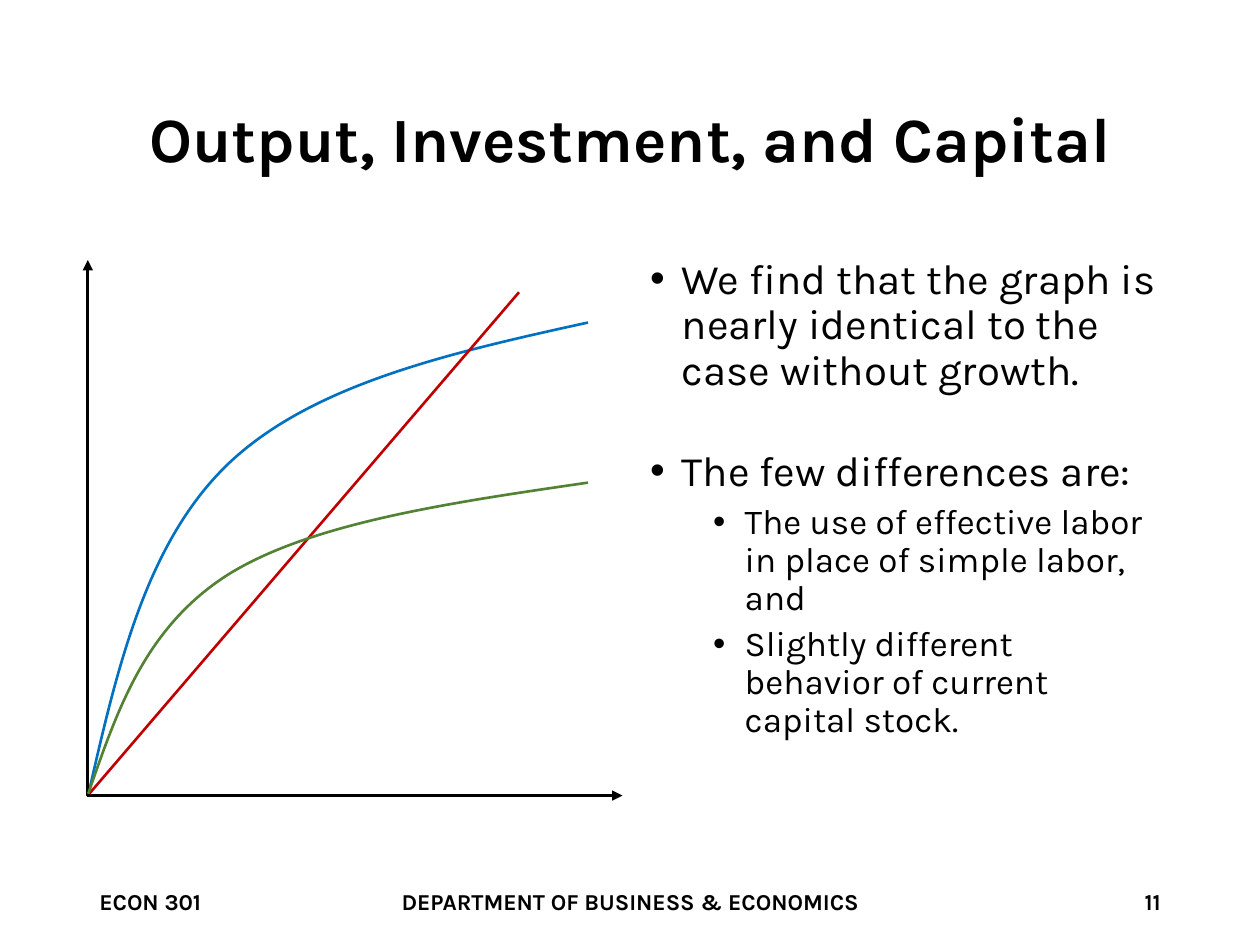
from lxml.etree import SubElement
from pptx import Presentation
from pptx.dml.color import RGBColor
from pptx.enum.shapes import MSO_CONNECTOR as Connector
from pptx.enum.text import MSO_ANCHOR as Anchor, PP_ALIGN as Align
from pptx.oxml.ns import qn
from pptx.util import Pt

BLACK = RGBColor(0x00, 0x00, 0x00)
BLUE = RGBColor(0x00, 0x70, 0xC0)
RED = RGBColor(0xC0, 0x00, 0x00)
GREEN = RGBColor(0x54, 0x82, 0x35)
FONT = "Karla"

OUTPUT = [(50.4, 454.3), (67, 381.6), (83.5, 309.6), (131, 264.5),
          (178.6, 219.6), (257, 201.6), (336, 184.3)]
INVESTMENT = [(50.4, 453.6), (67, 406), (82.8, 358.6), (130.3, 328.4),
              (177.8, 298.8), (257, 287.3), (336, 275.8)]
POINTS = [
    ("We find that the graph is nearly identical to the case without growth.", 0, 0),
    ("The few differences are:", 0, 32),
    ("The use of effective labor in place of simple labor, and", 1, 5),
    ("Slightly different behavior of current capital stock.", 1, 5),
]


def add_frame(slide, left, top, width, height, anchor):
    """Add a wrapping text box and return its text frame."""
    frame = slide.shapes.add_textbox(Pt(left), Pt(top), Pt(width), Pt(height)).text_frame
    frame.word_wrap = True
    frame.vertical_anchor = anchor
    return frame


def add_words(paragraph, words, size, bold=False):
    """Add one run of styled text to a paragraph."""
    run = paragraph.add_run()
    run.text = words
    run.font.name = FONT
    run.font.size = Pt(size)
    run.font.bold = bold
    run.font.color.rgb = BLACK


def add_heading(slide, place, words, size, align, spacing=1.0):
    """Add a single bold line, centred vertically in its box."""
    paragraph = add_frame(slide, *place, Anchor.MIDDLE).paragraphs[0]
    paragraph.alignment = align
    paragraph.line_spacing = spacing
    add_words(paragraph, words, size, bold=True)


def add_bullets(slide, place, points):
    """Add a two-level bulleted list."""
    frame = add_frame(slide, *place, Anchor.TOP)
    for index, (words, level, gap) in enumerate(points):
        paragraph = frame.add_paragraph() if index else frame.paragraphs[0]
        properties = paragraph._p.get_or_add_pPr()
        properties.set("marL", str(Pt(18 + 36 * level)))
        properties.set("indent", str(Pt(-18)))
        SubElement(properties, qn("a:buFont"), typeface="Arial")
        SubElement(properties, qn("a:buChar"), char="•")
        paragraph.level = level
        paragraph.line_spacing = 0.9
        paragraph.space_before = Pt(gap)
        add_words(paragraph, words, 24 - 4 * level)


def style_line(line, color):
    """Give a line its colour and the graph's common width."""
    line.color.rgb = color
    line.width = Pt(1.5)


def add_line(slide, start, end, color, arrow=False):
    """Add a straight line, with an arrowhead at its end if asked."""
    connector = slide.shapes.add_connector(
        Connector.STRAIGHT, *(Pt(value) for value in start + end))
    style_line(connector.line, color)
    SubElement(connector._element.spPr, qn("a:effectLst"))
    if arrow:
        SubElement(connector.line._get_or_add_ln(), qn("a:tailEnd"), type="triangle")


def bend_segments(curve):
    """Turn each three straight segments of a freeform into one cubic Bezier."""
    segments = list(curve._element.iter(qn("a:lnTo")))
    outline = segments[0].getparent()
    for first in range(0, len(segments), 3):
        bend = SubElement(outline, qn("a:cubicBezTo"))
        for segment in segments[first:first + 3]:
            bend.append(segment[0])
            outline.remove(segment)


def add_curve(slide, controls, color):
    """Add an open curve through successive cubic Bezier segments."""
    start, *others = [(Pt(x), Pt(y)) for x, y in controls]
    builder = slide.shapes.build_freeform(*start)
    builder.add_line_segments(others, close=False)
    curve = builder.convert_to_shape()
    bend_segments(curve)
    curve.shadow.inherit = False
    curve.fill.background()
    style_line(curve.line, color)


def add_graph(slide):
    """Draw the axes, the output and investment curves and the capital line."""
    add_curve(slide, OUTPUT, BLUE)
    add_line(slide, (49.7, 454.6), (355.7, 454.6), BLACK, arrow=True)
    add_line(slide, (50.2, 454.6), (50.2, 148.6), BLACK, arrow=True)
    add_line(slide, (51, 453.6), (296.6, 167), RED)
    add_curve(slide, INVESTMENT, GREEN)


def main():
    """Build and save the slide."""
    deck = Presentation()
    deck.slide_width, deck.slide_height = Pt(720), Pt(540)
    slide = deck.slides.add_slide(deck.slide_layouts[6])
    add_heading(slide, (49.7, 28.8, 620.6, 104.4), "Output, Investment, and Capital",
                36, Align.CENTER, 0.9)
    add_bullets(slide, (364.5, 144, 304, 342.7), POINTS)
    for left, width, words, align in (
            (49.7, 162, "ECON 301", Align.LEFT),
            (133.2, 453.6, "DEPARTMENT OF BUSINESS & ECONOMICS", Align.CENTER),
            (508.3, 162, "11", Align.RIGHT)):
        add_heading(slide, (left, 500.6, width, 28.8), words, 13, align)
    add_graph(slide)
    deck.save("out.pptx")


if __name__ == "__main__":
    main()
